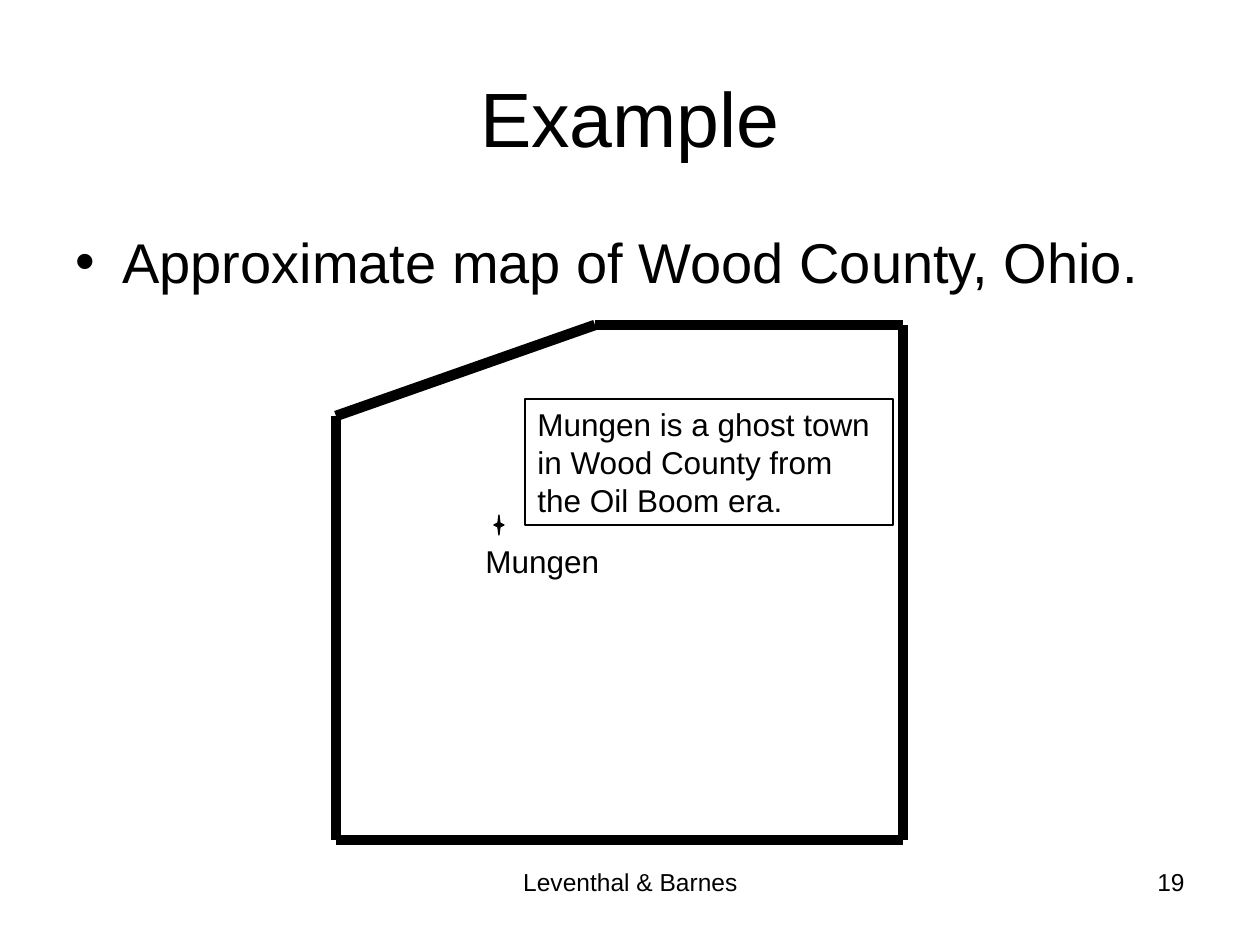
from dataclasses import dataclass
from itertools import pairwise

from lxml import etree
from pptx import Presentation
from pptx import util as u
from pptx.dml.color import RGBColor
from pptx.enum import shapes, text
from pptx.oxml import ns

EMU_PER_PX = 914400 / 126


@dataclass(frozen=True)
class Theme:
    font: str = "Arial"
    ink: RGBColor = RGBColor(0, 0, 0)
    title: int = 44
    body: int = 32
    label: int = 18
    footer: int = 14
    border: float = 6
    box_line: float = 1
    star_line: float = 0.75


THEME = Theme()


def px(n):
    return u.Emu(round(n * EMU_PER_PX))


def add_bullet(p, indent):
    pPr = p._p.get_or_add_pPr()
    pPr.set("marL", str(px(indent)))
    pPr.set("indent", str(-px(indent)))
    etree.SubElement(pPr, ns.qn("a:buFont"), typeface=THEME.font)
    etree.SubElement(pPr, ns.qn("a:buChar"), char="•")


def write_text(sp, content, size, align=text.PP_ALIGN.LEFT,
               anchor=text.MSO_ANCHOR.TOP, wrap=True, before=0, indent=0):
    tf = sp.text_frame
    tf.word_wrap = wrap
    tf.vertical_anchor = anchor
    p = tf.paragraphs[0]
    p.alignment = align
    p.space_before = u.Pt(before)
    if indent:
        add_bullet(p, indent)
    r = p.add_run()
    r.text = content
    r.font.name = THEME.font
    r.font.size = u.Pt(size)
    r.font.color.rgb = THEME.ink


def add_text(s, content, box, size, **fmt):
    sp = s.shapes.add_textbox(*map(px, box))
    write_text(sp, content, size, **fmt)


def add_note(s, content, box, size, **fmt):
    sp = s.shapes.add_shape(shapes.MSO_SHAPE.RECTANGLE, *map(px, box))
    sp.shadow.inherit = False
    sp.fill.background()
    sp.line.color.rgb = THEME.ink
    sp.line.width = u.Pt(THEME.box_line)
    write_text(sp, content, size, **fmt)


def add_border(s, corners):
    group = s.shapes.add_group_shape()
    for start, end in pairwise(corners + corners[:1]):
        line = group.shapes.add_connector(
            shapes.MSO_CONNECTOR.STRAIGHT, *map(px, start + end))
        line.line.color.rgb = THEME.ink
        line.line.width = u.Pt(THEME.border)
        etree.SubElement(line._element.spPr, ns.qn("a:effectLst"))


def add_star(s, x, y, half_width, half_height, waist_x, waist_y):
    points = [(-half_width, 0), (-waist_x, -waist_y),
              (0, -half_height), (waist_x, -waist_y),
              (half_width, 0), (waist_x, waist_y),
              (0, half_height), (-waist_x, waist_y)]
    outline = [(x + dx, y + dy) for dx, dy in points]
    builder = s.shapes.build_freeform(*outline[0], scale=EMU_PER_PX)
    builder.add_line_segments(outline[1:], close=True)
    sp = builder.convert_to_shape()
    sp.shadow.inherit = False
    sp.fill.solid()
    sp.fill.fore_color.rgb = THEME.ink
    sp.line.color.rgb = THEME.ink
    sp.line.width = u.Pt(THEME.star_line)


def main():
    prs = Presentation()
    prs.slide_width, prs.slide_height = px(1260), px(945)
    s = prs.slides.add_slide(prs.slide_layouts[6])

    add_text(s, "Example", (63, 38, 1134, 158), THEME.title,
             align=text.PP_ALIGN.CENTER, anchor=text.MSO_ANCHOR.MIDDLE)
    add_text(s, "Approximate map of Wood County, Ohio.",
             (63, 221, 1134, 624), THEME.body, before=8, indent=47)

    add_border(s, [(336, 416), (595, 325), (903, 325), (903, 840), (336, 840)])
    add_text(s, "Mungen", (473, 536, 139, 50), THEME.label, wrap=False)
    add_star(s, 499, 525, 5, 10, 1, 2)
    add_note(s, "Mungen is a ghost town in Wood County from the Oil Boom era.",
             (525, 399, 368, 126), THEME.label, before=11.2)

    add_text(s, "Leventhal & Barnes", (431, 861, 399, 66), THEME.footer,
             align=text.PP_ALIGN.CENTER)
    add_text(s, "19", (903, 861, 294, 66), THEME.footer,
             align=text.PP_ALIGN.RIGHT)
    prs.save("out.pptx")


if __name__ == "__main__":
    main()
